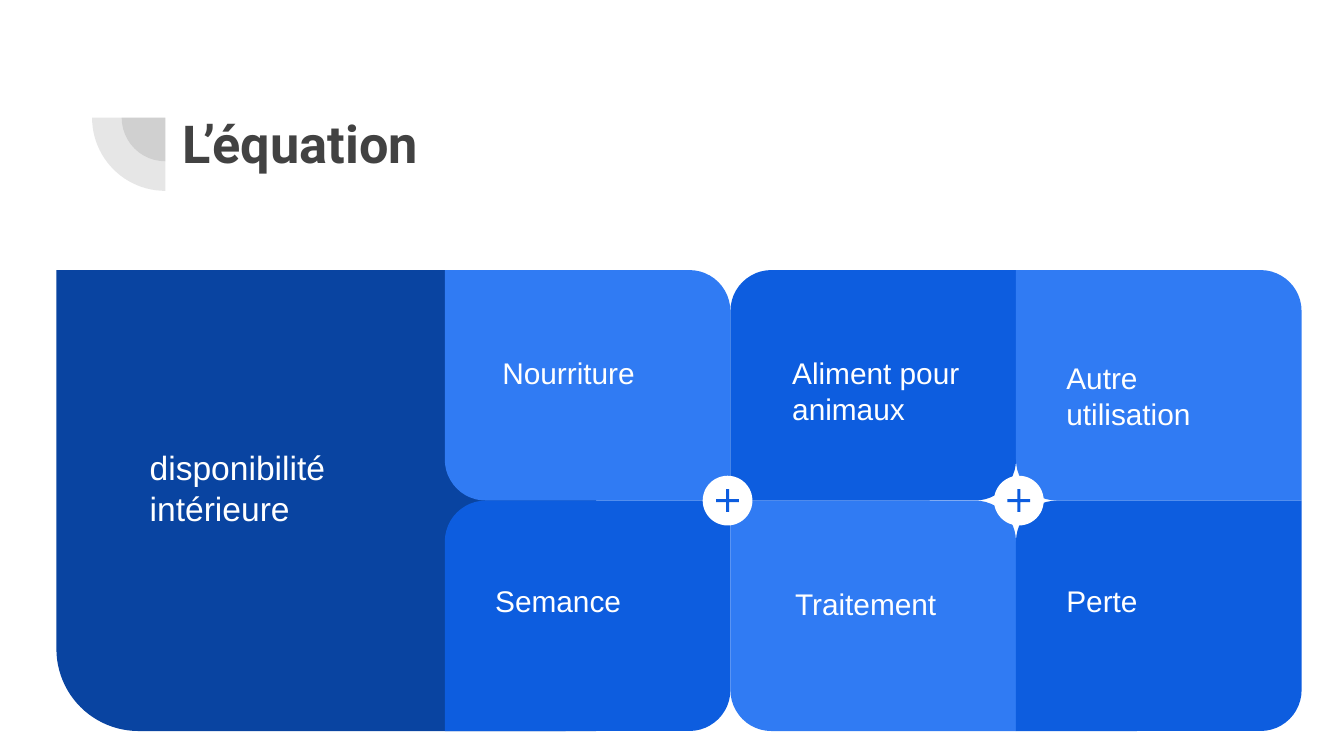
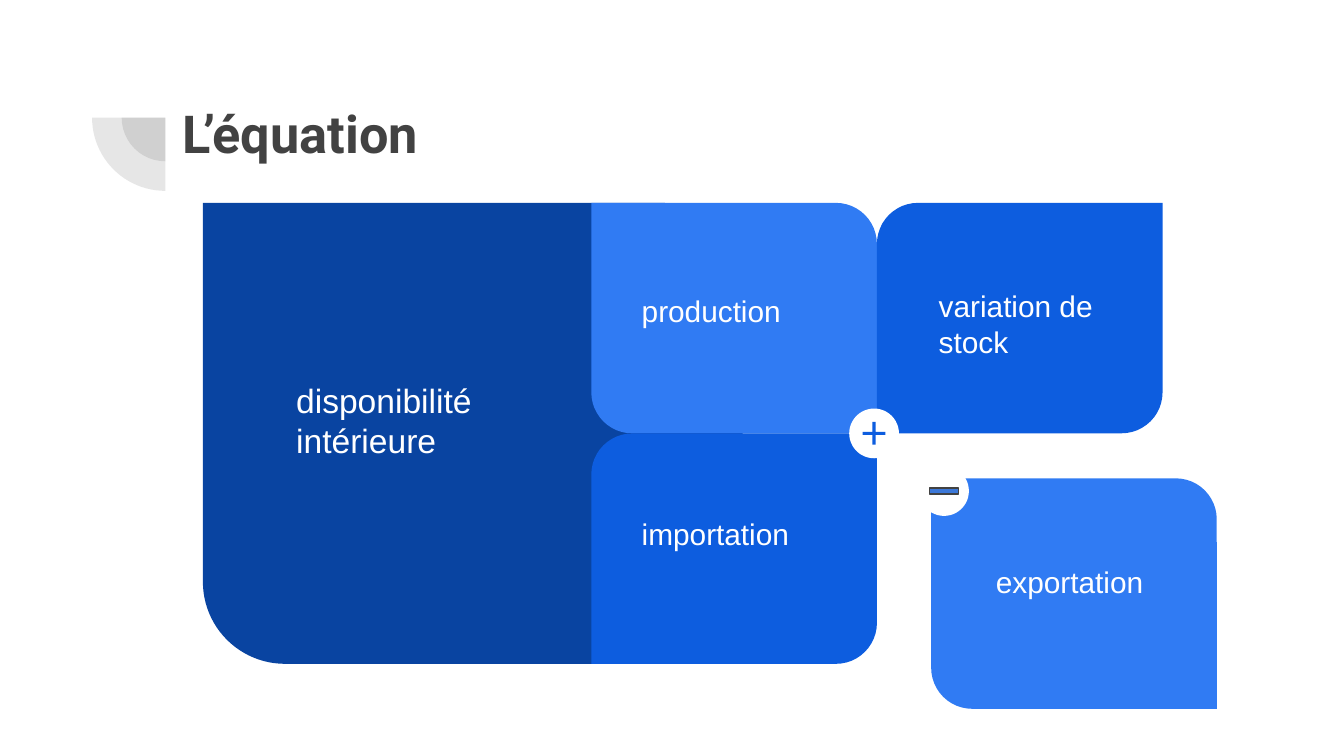
import pptx
import pptx.util
import pptx.dml.color
import pptx.enum.shapes
import pptx.oxml.ns
import lxml.etree
from dataclasses import dataclass


@dataclass(frozen=True)
class Theme:
    navy: str = "0944A1"
    blue: str = "0D5DDF"
    sky: str = "307BF3"
    minus: str = "3C78D8"
    ink: str = "424242"
    white: str = "FFFFFF"
    title_font: str = "Roboto"
    body_font: str = "Arial"
    title_size: int = 28
    hub_size: int = 18
    tile_size: int = 16
    rounding: float = 0.178
    ornament_opacity: int = 13


theme = Theme()
shapes = pptx.enum.shapes.MSO_SHAPE
Inches = pptx.util.Inches
color = pptx.dml.color.RGBColor.from_string

presentation = pptx.Presentation()
presentation.slide_width = Inches(10)
presentation.slide_height = Inches(5.625)

COLUMN = 2.125
ROW = 1.715
HUB_LEFT = -1.36 * COLUMN
HUB_WIDTH = 1.89 * COLUMN
BADGE = 0.37
SIGN_SIZES = {shapes.MATH_PLUS: (0.23, 0.23), shapes.MATH_MINUS: (0.3, 0.18)}


def add_shape(slide, kind, left, top, width, height, fill, adjustments=()):
    shape = slide.shapes.add_shape(kind, Inches(left), Inches(top), Inches(width), Inches(height))
    shape.shadow.inherit = False
    shape.fill.solid()
    shape.fill.fore_color.rgb = color(fill)
    shape.line.fill.background()
    for index, value in enumerate(adjustments):
        shape.adjustments[index] = value
    return shape


def add_label(slide, text, left, top, width, height, size, font=theme.body_font, ink=theme.white, bold=False):
    box = slide.shapes.add_textbox(Inches(left), Inches(top), Inches(width), Inches(height))
    frame = box.text_frame
    frame.word_wrap = True
    frame.margin_left = frame.margin_right = frame.margin_top = frame.margin_bottom = Inches(0.1)
    frame.text = text
    run = frame.paragraphs[0].runs[0]
    run.font.name = font
    run.font.size = pptx.util.Pt(size)
    run.font.bold = bold
    run.font.color.rgb = color(ink)


equations = [
    {
        "title_top": 0.73,
        "origin": (3.31, 2.01),
        "tiles": [
            ("Nourriture", 0, 0, 0.155, 0.31, 1.48),
            ("Semance", 0, 1, 0.13, 0.3, 1.48),
            ("Aliment pour animaux", 1, 0, 0.17, 0.31, 1.65),
            ("Traitement", 1, 1, 0.18, 0.31, 1.65),
            ("Autre utilisation", 2, 0, 0.13, 0.33, 1.48),
            ("Perte", 2, 1, 0.13, 0.3, 1.48),
        ],
        "badges": [
            (shapes.MATH_PLUS, 0.99, 1, theme.blue, 0.099),
            (shapes.MATH_PLUS, 2.01, 1, theme.blue, 0.099),
        ],
    },
    {
        "title_top": 0.65,
        "origin": (4.4, 1.51),
        "tiles": [
            ("production", 0, 0, 0.13, 0.33, 1.48),
            ("importation", 0, 1, 0.13, 0.3, 1.48),
            ("variation de stock", 1, 0, 0.17, 0.31, 1.65),
            ("exportation", 1.19, 1.195, 0.18, 0.31, 1.65),
        ],
        "badges": [
            (shapes.MATH_PLUS, 0.99, 1, theme.blue, 0.099),
            (shapes.MATH_MINUS, 1.235, 1.25, theme.minus, 0.235),
        ],
    },
]

for equation in equations:
    slide = presentation.slides.add_slide(presentation.slide_layouts[6])

    for diameter in (0.65, 1.09):
        ornament = add_shape(slide, shapes.PIE, 1.23 - diameter / 2, 0.875 - diameter / 2,
                             diameter, diameter, theme.ink, (54, 108))
        fill_color = ornament.fill._xPr.find(".//" + pptx.oxml.ns.qn("a:srgbClr"))
        alpha = lxml.etree.SubElement(fill_color, pptx.oxml.ns.qn("a:alpha"))
        alpha.set("val", str(theme.ornament_opacity * 1000))

    add_label(slide, "L’équation", 1.26, equation["title_top"], 7.69, 1.09,
              theme.title_size, theme.title_font, theme.ink, True)

    left, top = equation["origin"]
    add_shape(slide, shapes.ROUND_2_DIAG_RECTANGLE, left + HUB_LEFT, top, HUB_WIDTH, 2 * ROW,
              theme.navy, (0, theme.rounding))
    add_label(slide, "disponibilité intérieure", left + HUB_LEFT + 0.28 * COLUMN, top + 0.71 * ROW,
              2.21, 0.66, theme.hub_size)

    for text, column, row, indent, drop, width in equation["tiles"]:
        light = (round(column) + round(row)) % 2 == 0
        add_shape(slide, shapes.ROUND_2_DIAG_RECTANGLE, left + column * COLUMN, top + row * ROW,
                  COLUMN, ROW, theme.sky if light else theme.blue,
                  (0, theme.rounding) if light else (theme.rounding, 0))
        add_label(slide, text, left + (column + indent) * COLUMN, top + (row + drop) * ROW,
                  width, 0.66, theme.tile_size)

    for kind, column, row, fill, thickness in equation["badges"]:
        center_x = left + column * COLUMN
        center_y = top + row * ROW
        width, height = SIGN_SIZES[kind]
        add_shape(slide, shapes.OVAL, center_x - BADGE / 2, center_y - BADGE / 2, BADGE, BADGE, theme.white)
        sign = add_shape(slide, kind, center_x - width / 2, center_y - height / 2,
                         width, height, fill, (thickness,))
        if kind == shapes.MATH_MINUS:
            sign.line.color.rgb = color(theme.ink)
            sign.line.width = pptx.util.Pt(0.75)

presentation.save("out.pptx")
